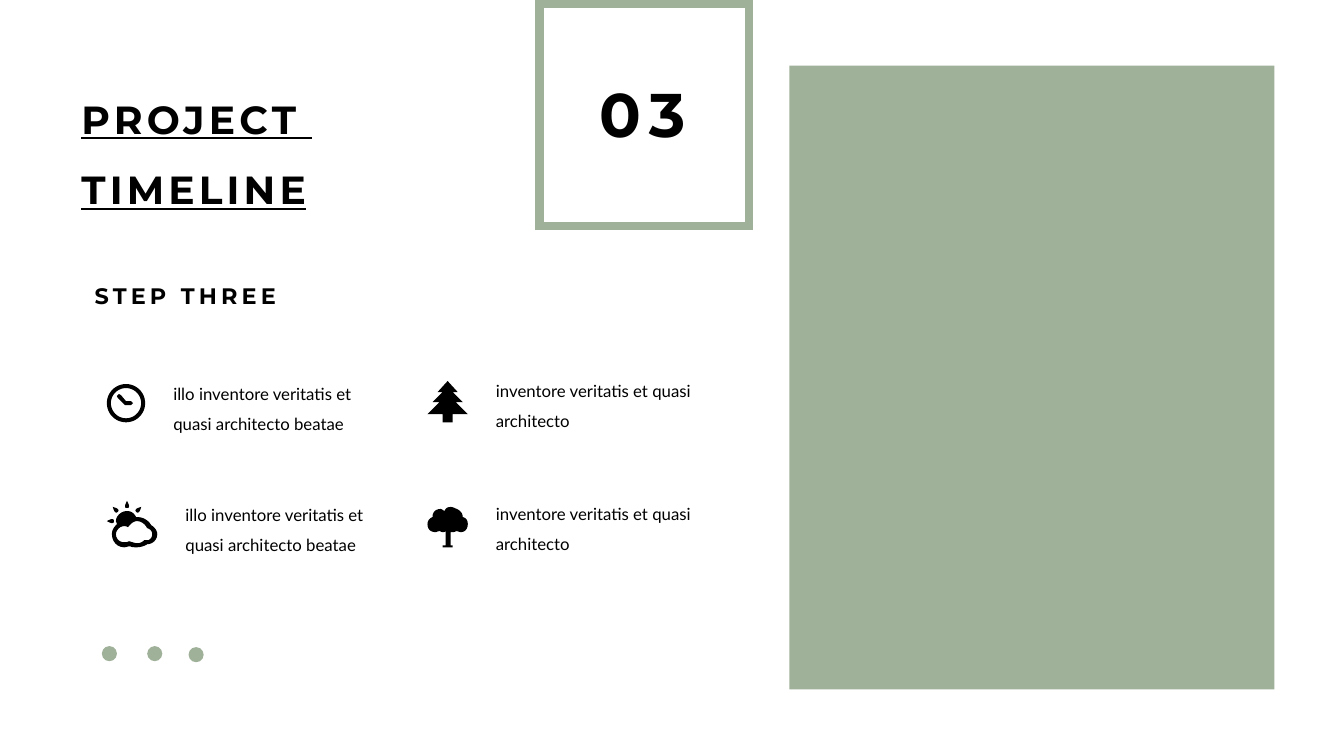
"""Build the project timeline slide for step three."""
from math import cos, pi, radians, sin

from lxml import etree
from pptx import Presentation
from pptx.dml.color import RGBColor
from pptx.enum import shapes, text
from pptx.oxml.ns import qn
from pptx.util import Inches, Pt

SAGE = "A0B19A"
BLACK = "000000"

CLOCK_HANDS = [(1.3, 3.98), (1.25, 3.98), (1.2, 3.92), (1.18, 3.91), (1.16, 3.93),
               (1.17, 3.95), (1.23, 4.01), (1.24, 4.02), (1.3, 4.02), (1.32, 4)]
FIR_HALF = [(0, 0), (0.1, 0.11), (0.05, 0.11), (0.15, 0.21), (0.08, 0.21),
            (0.2, 0.33), (0.05, 0.33), (0.05, 0.41)]
CLOUD_OUTSIDE = [
    (1.5, 5.21), (1.47, 5.16), (1.42, 5.13), (1.36, 5.13),
    (1.36, 5.13), (1.35, 5.13), (1.35, 5.13), (1.33, 5.09), (1.3, 5.07), (1.26, 5.07),
    (1.2, 5.07), (1.15, 5.12), (1.15, 5.17), (1.15, 5.18), (1.16, 5.19), (1.16, 5.2),
    (1.13, 5.23), (1.11, 5.26), (1.11, 5.3), (1.11, 5.37), (1.16, 5.43), (1.23, 5.43),
    (1.25, 5.43), (1.27, 5.42), (1.29, 5.42), (1.31, 5.43), (1.33, 5.43), (1.36, 5.43),
    (1.39, 5.43), (1.43, 5.42), (1.46, 5.4), (1.51, 5.4), (1.56, 5.36), (1.56, 5.3),
    (1.56, 5.26), (1.53, 5.23), (1.5, 5.21)]
CLOUD_INSIDE = [
    (1.46, 5.36), (1.45, 5.36), (1.44, 5.36), (1.43, 5.36),
    (1.41, 5.38), (1.39, 5.39), (1.36, 5.39), (1.34, 5.39), (1.32, 5.38), (1.28, 5.37),
    (1.26, 5.38), (1.25, 5.38), (1.23, 5.38), (1.19, 5.38), (1.15, 5.35), (1.15, 5.3),
    (1.15, 5.26), (1.19, 5.22), (1.23, 5.22), (1.24, 5.22), (1.25, 5.22), (1.27, 5.23),
    (1.3, 5.19), (1.33, 5.17), (1.36, 5.17), (1.4, 5.17), (1.44, 5.2), (1.46, 5.24),
    (1.5, 5.25), (1.51, 5.28), (1.51, 5.3), (1.51, 5.33), (1.49, 5.36), (1.46, 5.36)]
CROWN_LEFT = [
    (4.59, 5.13), (4.59, 5.09), (4.56, 5.06), (4.53, 5.05),
    (4.51, 5.04), (4.49, 5.03), (4.47, 5.03), (4.44, 5.03), (4.42, 5.04), (4.41, 5.07),
    (4.39, 5.06), (4.38, 5.05), (4.37, 5.05), (4.32, 5.05), (4.29, 5.08), (4.29, 5.13),
    (4.26, 5.14), (4.24, 5.17), (4.24, 5.2), (4.24, 5.25), (4.27, 5.28), (4.32, 5.28),
    (4.33, 5.28), (4.34, 5.27), (4.36, 5.27), (4.37, 5.27), (4.38, 5.28), (4.39, 5.28),
    (4.4, 5.28), (4.41, 5.28), (4.42, 5.27)]
TRUNK = [(4.42, 5.41), (4.39, 5.41), (4.39, 5.43), (4.49, 5.43), (4.49, 5.41), (4.47, 5.41)]
CROWN_RIGHT = [
    (4.47, 5.28), (4.48, 5.28), (4.49, 5.28), (4.49, 5.28),
    (4.51, 5.28), (4.52, 5.27), (4.53, 5.27), (4.54, 5.27), (4.56, 5.28), (4.57, 5.28),
    (4.61, 5.28), (4.64, 5.25), (4.64, 5.2), (4.64, 5.17), (4.63, 5.14), (4.59, 5.13)]


def rgb(value):
    """Turn a hex string into a colour."""
    return RGBColor.from_string(value)


def paint(shape, fill):
    """Give a shape a flat fill without line or shadow."""
    shape.shadow.inherit = False
    shape.fill.solid()
    shape.fill.fore_color.rgb = rgb(fill)
    shape.line.fill.background()


def add_block(slide, kind, left, top, width, height):
    """Add a plain sage shape."""
    block = slide.shapes.add_shape(kind, *map(Inches, (left, top, width, height)))
    paint(block, SAGE)
    return block


def add_frame(slide, left, top, width, height):
    """Add an open rectangle with a heavy, sharp-cornered line."""
    frame = add_block(slide, shapes.MSO_SHAPE.RECTANGLE, left, top, width, height)
    frame.fill.background()
    frame.line.color.rgb = rgb(SAGE)
    frame.line.width = Pt(6)
    outline = frame.line.color and frame._element.spPr.find(qn("a:ln"))
    etree.SubElement(outline, qn("a:miter"), lim="800000")


def add_text(slide, box, lines, size, font="Montserrat", spacing=1, tracking=0,
             align=text.PP_ALIGN.LEFT, underline=False):
    """Add a wrapped text box with one paragraph per line."""
    frame = slide.shapes.add_textbox(*map(Inches, box)).text_frame
    frame.word_wrap = True
    for index, line in enumerate(lines):
        paragraph = frame.add_paragraph() if index else frame.paragraphs[0]
        paragraph.alignment = align
        paragraph.line_spacing = spacing
        run = paragraph.add_run()
        run.text = line
        run.font.name = font
        run.font.size = Pt(size)
        run.font.bold = font == "Montserrat"
        run.font.underline = underline
        run.font.color.rgb = rgb(BLACK)
        if tracking:
            run._r.get_or_add_rPr().set("spc", str(tracking * 100))


def smooth(points, steps=6):
    """Sample a chain of cubic curves that share their end points."""
    sampled = [points[0]]
    for start in range(0, len(points) - 1, 3):
        for step in range(1, steps + 1):
            t = step / steps
            weights = ((1 - t) ** 3, 3 * t * (1 - t) ** 2, 3 * t * t * (1 - t), t ** 3)
            corners = points[start:start + 4]
            sampled.append(tuple(sum(w * p[axis] for w, p in zip(weights, corners))
                                 for axis in (0, 1)))
    return sampled


def circle(x, y, radius, sides=48):
    """Return the points of a circle."""
    return [(x + radius * cos(2 * pi * i / sides), y + radius * sin(2 * pi * i / sides))
            for i in range(sides)]


def sun_ray(degrees, x=1.26, y=5.17):
    """Return a drop that points away from the sun's centre."""
    angle = radians(degrees)
    drop = [(0.2, 0), (0.18, 0.01), (0.16, 0.02), (0.15, 0.02), (0.13, 0.02),
            (0.13, 0.01), (0.13, 0), (0.13, -0.01), (0.13, -0.02), (0.15, -0.02),
            (0.16, -0.02), (0.18, -0.01), (0.2, 0)]
    return [(x + along * cos(angle) - across * sin(angle),
             y + along * sin(angle) + across * cos(angle))
            for along, across in smooth(drop)]


def add_icon(parent, *contours):
    """Add one black outline made of closed contours."""
    scaled = [[(Inches(x), Inches(y)) for x, y in contour] for contour in contours]
    builder = parent.shapes.build_freeform(*scaled[0][0], scale=1.0)
    for index, contour in enumerate(scaled):
        if index:
            builder.move_to(*contour[0])
        builder.add_line_segments(contour[1:], close=True)
    paint(builder.convert_to_shape(), BLACK)


def add_icons(slide):
    """Add the clock, fir, weather and tree icons."""
    add_icon(slide, circle(1.25, 4, 0.19), circle(1.25, 4, 0.15), CLOCK_HANDS)
    fir = FIR_HALF + [(-x, y) for x, y in reversed(FIR_HALF[1:])]
    add_icon(slide, [(4.44 + x, 3.78 + y) for x, y in fir])
    weather = slide.shapes.add_group_shape()
    add_icon(weather, smooth(CLOUD_OUTSIDE), smooth(CLOUD_INSIDE))
    for degrees in range(180, 316, 45):
        add_icon(weather, sun_ray(degrees))
    add_icon(slide, smooth(CROWN_LEFT) + TRUNK + smooth(CROWN_RIGHT))


def main():
    """Compose and save the slide."""
    deck = Presentation()
    deck.slide_width, deck.slide_height = Inches(13.33), Inches(7.5)
    slide = deck.slides.add_slide(deck.slide_layouts[6])

    add_block(slide, shapes.MSO_SHAPE.RECTANGLE, 7.83, 0.65, 4.81, 6.19)
    for left, top in ((1.01, 6.41), (1.46, 6.41), (1.87, 6.42)):
        add_block(slide, shapes.MSO_SHAPE.OVAL, left, top, 0.15, 0.15)

    add_text(slide, (0.71, 0.66, 4.39, 1.43), ["PROJECT ", "TIMELINE"], 28,
             spacing=1.5, tracking=3, underline=True)
    add_icons(slide)
    beatae = "illo inventore veritatis et quasi architecto beatae"
    architecto = "inventore veritatis et quasi architecto"
    for left, top, width, note in ((1.62, 3.66, 2.05, beatae), (4.82, 3.63, 2.2, architecto),
                                   (1.74, 4.86, 2.05, beatae), (4.82, 4.85, 2.2, architecto)):
        add_text(slide, (left, top, width, 0.85), [note], 12, font="Lato", spacing=1.5)

    add_frame(slide, 5.35, 0.04, 2.08, 2.2)
    add_text(slide, (5.63, 0.7, 1.48, 0.84), ["03"], 44, tracking=6,
             align=text.PP_ALIGN.CENTER)
    add_text(slide, (0.84, 2.75, 4.63, 0.47), ["STEP THREE"], 16, tracking=3)
    deck.save("out.pptx")


if __name__ == "__main__":
    main()
